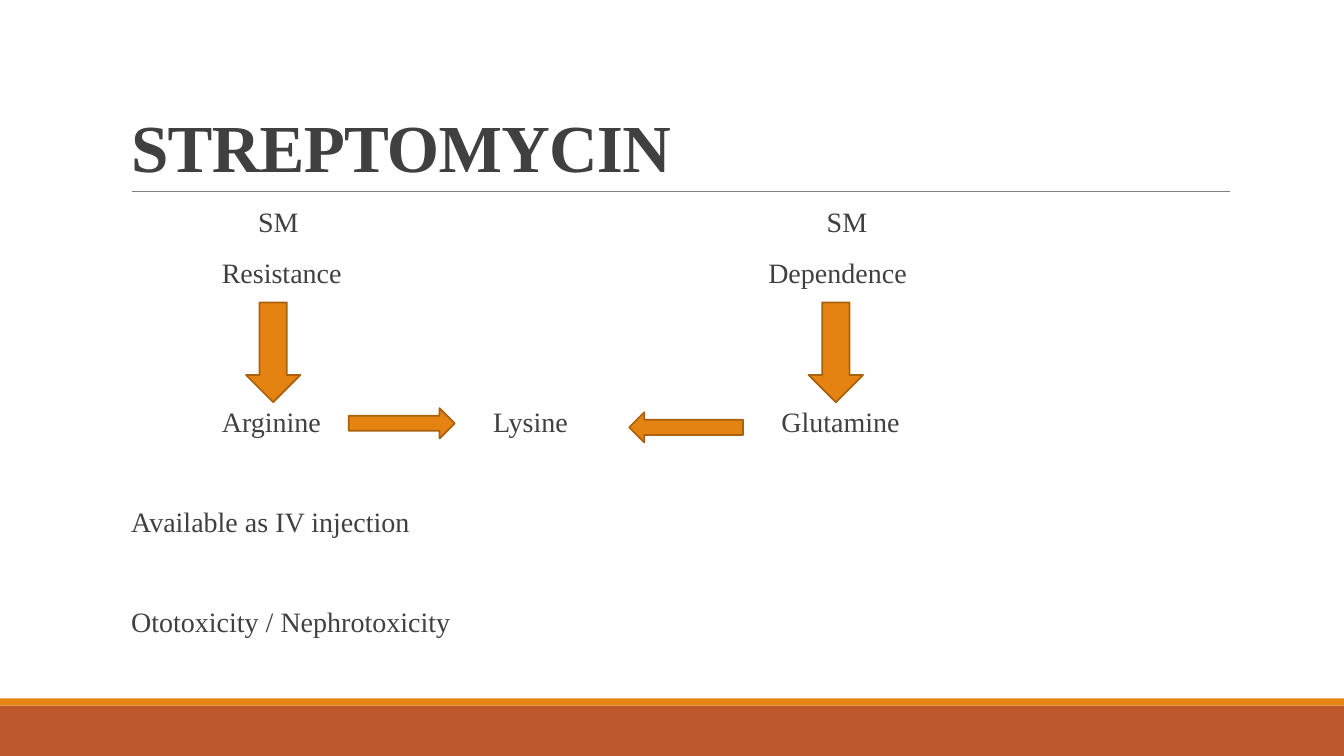
import pptx
import pptx.util
import pptx.dml.color
import pptx.enum.shapes
import pptx.enum.text
import pptx.oxml
import pptx.oxml.ns
import lxml.etree

Inches = pptx.util.Inches
Pt = pptx.util.Pt
Shape = pptx.enum.shapes.MSO_SHAPE
qn = pptx.oxml.ns.qn


def color(hex_value):
    return pptx.dml.color.RGBColor.from_string(hex_value)


def write(line, words, size, spacing):
    line.alignment = pptx.enum.text.PP_ALIGN.LEFT
    line.line_spacing = spacing
    run = line.add_run()
    run.text = words
    run.font.name = "Times New Roman"
    run.font.size = Pt(size)
    run.font.color.rgb = color("404040")
    return run


ORANGE, RUST, DARK_ORANGE = "E48312", "BD582C", "A9610D"

deck = pptx.Presentation()
deck.slide_width, deck.slide_height = Inches(13.33), Inches(7.5)
slide = deck.slides.add_slide(deck.slide_layouts[1])

# Rule under the title
title_rule = slide.shapes.add_connector(
    pptx.enum.shapes.MSO_CONNECTOR.STRAIGHT,
    Inches(1.31), Inches(1.9), Inches(12.2), Inches(1.9))
title_rule.line.color.rgb = color("808080")
title_rule.line.width = Pt(0.5)
lxml.etree.SubElement(title_rule._element.spPr, qn("a:effectLst"))

# Title
title = slide.shapes.title
title.left, title.top = Inches(1.2), Inches(0.31)
title.width, title.height = Inches(11), Inches(1.59)
title.text_frame.auto_size = pptx.enum.text.MSO_AUTO_SIZE.NONE
title.text_frame.vertical_anchor = pptx.enum.text.MSO_ANCHOR.BOTTOM
drug_name = write(title.text_frame.paragraphs[0], "STREPTOMYCIN", 48, 0.85)
drug_name.font.bold = True
drug_name._r.get_or_add_rPr().set("spc", "-50")

# Closing facts
facts = slide.placeholders[1]
facts.left, facts.top = Inches(1.2), Inches(4.99)
facts.width, facts.height = Inches(11), Inches(1.43)
facts.text_frame.auto_size = pptx.enum.text.MSO_AUTO_SIZE.NONE
facts.text_frame.vertical_anchor = pptx.enum.text.MSO_ANCHOR.TOP
facts.text_frame.margin_left = Inches(0.1)
for number, words in enumerate(["Available as IV injection",
                                "Ototoxicity / Nephrotoxicity"]):
    fact = facts.text_frame.add_paragraph() if number else facts.text_frame.paragraphs[0]
    properties = fact._p.get_or_add_pPr()
    properties.set("marL", "0")
    properties.set("indent", "0")
    lxml.etree.SubElement(properties, qn("a:buNone"))
    fact.space_before, fact.space_after = Pt(48 * number), Pt(2)
    write(fact, words, 20, 0.9)

# Pathway labels: left edges in each row
pathway_rows = [
    (2.02, [("SM", 2.56), ("SM", 8.2)]),
    (2.52, [("Resistance", 2.2), ("Dependence", 7.62)]),
    (4, [("Arginine", 2.2), ("Lysine", 4.89), ("Glutamine", 7.75)]),
]
for top, labels in pathway_rows:
    for words, left in labels:
        label = slide.shapes.add_textbox(Inches(left), Inches(top), Inches(1.6), Inches(0.4))
        label.text_frame.word_wrap = True
        label.text_frame.margin_left = label.text_frame.margin_right = 0
        write(label.text_frame.paragraphs[0], words, 20, 0.9)

# Bottom bands and pathway arrows
for kind, box, fill, outline in [
    (Shape.RECTANGLE, (0, 7, 13.33, 0.5), RUST, None),
    (Shape.RECTANGLE, (0, 6.93, 13.33, 0.07), ORANGE, None),
    (Shape.DOWN_ARROW, (2.44, 3, 0.54, 0.99), ORANGE, DARK_ORANGE),
    (Shape.DOWN_ARROW, (8.02, 3, 0.54, 0.99), ORANGE, DARK_ORANGE),
    (Shape.RIGHT_ARROW, (3.46, 4.05, 1.05, 0.3), ORANGE, DARK_ORANGE),
    (Shape.LEFT_ARROW, (6.24, 4.09, 1.13, 0.3), ORANGE, DARK_ORANGE),
]:
    block = slide.shapes.add_shape(kind, *[Inches(length) for length in box])
    block.shadow.inherit = False
    block.fill.solid()
    block.fill.fore_color.rgb = color(fill)
    if outline:
        block.line.color.rgb = color(outline)
        block.line.width = Pt(1.25)
    else:
        block.line.fill.background()

deck.save("out.pptx")
